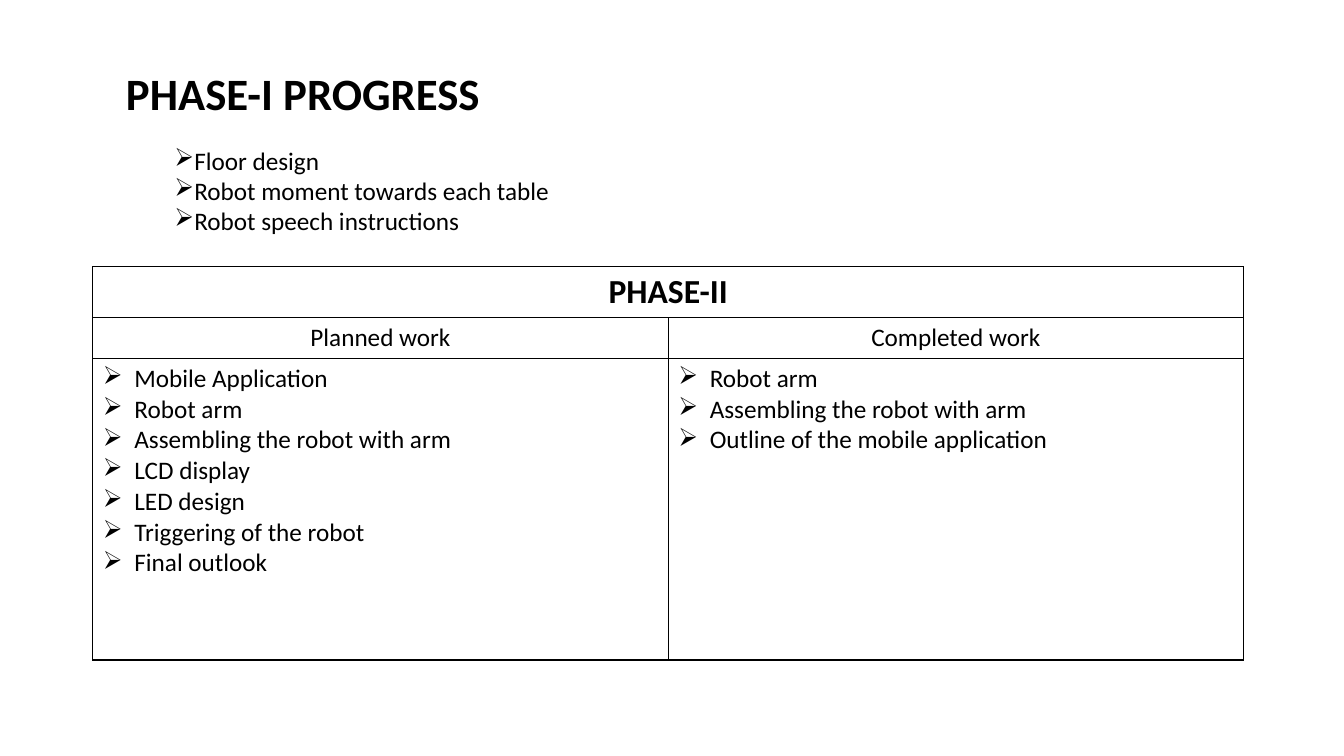
import pptx
import pptx.dml.color
import pptx.enum.text
import pptx.oxml
import pptx.oxml.ns
import pptx.util

Pt = pptx.util.Pt
ALIGN = pptx.enum.text.PP_ALIGN
ANCHOR = pptx.enum.text.MSO_ANCHOR
AUTO_SIZE = pptx.enum.text.MSO_AUTO_SIZE
BLACK = "000000"
PHASE_1 = ["Floor design", "Robot moment towards each table",
           "Robot speech instructions"]
PLANNED = ["Mobile Application", "Robot arm", "Assembling the robot with arm",
           "LCD display", "LED design", "Triggering of the robot", "Final outlook"]
COMPLETED = ["Robot arm", "Assembling the robot with arm",
             "Outline of the mobile application"]


def rgb(color):
    return pptx.dml.color.RGBColor.from_string(color)


def write(tf, lines, size=18, bold=False, align=ALIGN.LEFT, bullet=None, indent=0):
    """Fill a text frame with one paragraph per line; indent hangs the bullet."""
    for i, line in enumerate(lines):
        p = tf.paragraphs[0] if i == 0 else tf.add_paragraph()
        p.alignment = align
        r = p.add_run()
        r.text = line
        r.font.name = "Calibri"
        r.font.size = Pt(size)
        r.font.bold = bold
        r.font.color.rgb = rgb(BLACK)
        if bullet:
            pPr = p._p.get_or_add_pPr()
            pPr.set("marL", str(Pt(indent)))
            pPr.set("indent", str(-Pt(indent)))
            bu = pptx.oxml.parse_xml(
                f'<a:buChar {pptx.oxml.ns.nsdecls("a")} char="{bullet}"/>')
            pPr.append(bu)


def set_borders(cell, color, width):
    tcPr = cell._tc.get_or_add_tcPr()
    for i, side in enumerate("LRTB"):
        tcPr.insert(i, pptx.oxml.parse_xml(
            f'<a:ln{side} {pptx.oxml.ns.nsdecls("a")} w="{Pt(width)}">'
            f'<a:solidFill><a:srgbClr val="{color}"/></a:solidFill></a:ln{side}>'))


def add_title(s, text, left, top, width, height):
    sp = s.shapes.title
    sp.left, sp.top, sp.width, sp.height = map(Pt, (left, top, width, height))
    tf = sp.text_frame
    tf.word_wrap = False
    tf.auto_size = AUTO_SIZE.SHAPE_TO_FIT_TEXT
    tf.vertical_anchor = ANCHOR.TOP
    write(tf, [text], size=32, bold=True)


def add_bullet_list(s, lines, left, top, width, height):
    sp = s.shapes.add_textbox(*map(Pt, (left, top, width, height)))
    tf = sp.text_frame
    tf.word_wrap = True
    tf.auto_size = AUTO_SIZE.SHAPE_TO_FIT_TEXT
    write(tf, lines, bullet="➢")


def add_phase_table(s, heading, columns, left, top, width, height):
    """Draw a heading row over columns given as a dict of header to bullet lines."""
    head_height, label_height = 36.5, 29
    table = s.shapes.add_table(
        3, len(columns), *map(Pt, (left, top, width, height))).table
    table.first_row = table.horz_banding = False
    row_heights = head_height, label_height, height - head_height - label_height
    for row, row_height in zip(table.rows, row_heights):
        row.height = Pt(row_height)
    for cell in table.iter_cells():
        cell.fill.background()
        set_borders(cell, BLACK, 1)
    table.cell(0, 0).merge(table.cell(0, len(columns) - 1))
    write(table.cell(0, 0).text_frame, [heading], size=24, bold=True,
          align=ALIGN.CENTER)
    for i, (label, lines) in enumerate(columns.items()):
        table.columns[i].width = Pt(width / len(columns))
        write(table.cell(1, i).text_frame, [label], align=ALIGN.CENTER)
        write(table.cell(2, i).text_frame, lines, bullet="➢", indent=22.5)


def main():
    prs = pptx.Presentation()
    prs.slide_width, prs.slide_height = Pt(960), Pt(540)
    s = prs.slides.add_slide(prs.slide_layouts.get_by_name("Title Only"))
    add_title(s, "PHASE-I PROGRESS", 82.8, 43.2, 270, 46)
    add_bullet_list(s, PHASE_1, 117.4, 100, 480, 73)
    add_phase_table(s, "PHASE-II",
                    {"Planned work": PLANNED, "Completed work": COMPLETED},
                    66.3, 190.5, 822, 281)
    prs.save("out.pptx")


if __name__ == "__main__":
    main()
